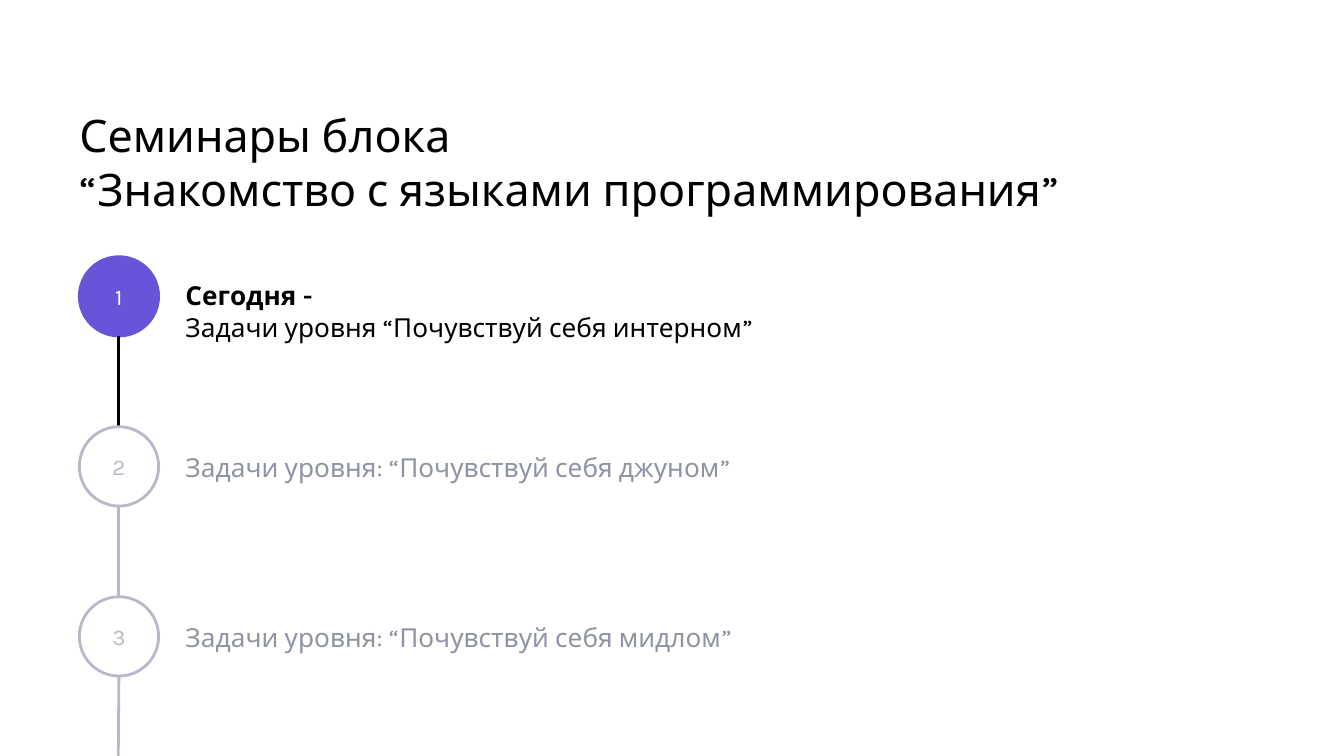
from lxml import etree
from pptx import Presentation
from pptx.dml.color import RGBColor
from pptx.enum import shapes, text
from pptx.oxml import ns
from pptx.util import Inches, Pt

FONT = "Karla"
BLACK = RGBColor(0x00, 0x00, 0x00)
WHITE = RGBColor(0xFF, 0xFF, 0xFF)
PURPLE = RGBColor(0x66, 0x54, 0xD9)
LIGHT_GRAY = RGBColor(0xB7, 0xB9, 0xC8)
TEXT_GRAY = RGBColor(0x8F, 0x93, 0xA3)

SLIDE_WIDTH = 10
SLIDE_HEIGHT = SLIDE_WIDTH * 9 / 16
LEFT = 0.59
DIAMETER = 0.59
AXIS = LEFT + DIAMETER / 2
FIRST_TOP = 1.91
LAST_TOP = 4.44

TITLE = ["Семинары блока", "“Знакомство с языками программирования”"]
SEMINARS = [
    (["Сегодня -", "Задачи уровня “Почувствуй себя интерном”"], (1.98, 5.79, 0.61)),
    (["Задачи уровня: “Почувствуй себя джуном”"], (3.26, 4.86, 0.41)),
    (["Задачи уровня: “Почувствуй себя мидлом”"], (4.52, 4.93, 0.41)),
]
STEP = (LAST_TOP - FIRST_TOP) / (len(SEMINARS) - 1)


def place(shape, left, top, width, height):
    shape.left, shape.top = Inches(left), Inches(top)
    shape.width, shape.height = Inches(width), Inches(height)


def write(shape, lines, size, color, margins, align=text.PP_ALIGN.LEFT,
          anchor=text.MSO_ANCHOR.TOP):
    frame = shape.text_frame
    frame.text = "\n".join(lines)
    frame.word_wrap = True
    frame.auto_size = text.MSO_AUTO_SIZE.NONE
    frame.vertical_anchor = anchor
    (frame.margin_left, frame.margin_top,
     frame.margin_right, frame.margin_bottom) = map(Inches, margins)
    for paragraph in frame.paragraphs:
        paragraph.alignment = align
        paragraph.space_before = Pt(0)
        paragraph.font.name = FONT
        paragraph.font.size = Pt(size)
        paragraph.font.bold = False
        paragraph.font.color.rgb = color


def remove_bullets(shape):
    for paragraph in shape.text_frame.paragraphs:
        properties = paragraph._p.get_or_add_pPr()
        properties.set("marL", "0")
        properties.set("indent", "0")
        bullet = etree.Element(ns.qn("a:buNone"))
        properties.insert_element_before(bullet, "a:tabLst", "a:defRPr", "a:extLst")


def add_marker(slide, number, top, fill, line, color):
    marker = slide.shapes.add_shape(
        shapes.MSO_SHAPE.OVAL, Inches(LEFT), Inches(top), Inches(DIAMETER), Inches(DIAMETER))
    marker.shadow.inherit = False
    marker.fill.solid()
    marker.fill.fore_color.rgb = fill
    marker.line.color.rgb = line
    marker.line.width = Pt(1.5)
    write(marker, [str(number)], 12, color, [0.1] * 4,
          text.PP_ALIGN.CENTER, text.MSO_ANCHOR.MIDDLE)


def add_line(slide, top, bottom, color, end=AXIS):
    line = slide.shapes.add_connector(
        shapes.MSO_CONNECTOR.STRAIGHT, Inches(AXIS), Inches(top), Inches(end), Inches(bottom))
    line.line.color.rgb = color
    line.line.width = Pt(1.5)
    etree.SubElement(line._element.spPr, ns.qn("a:effectLst"))


def main():
    presentation = Presentation()
    presentation.slide_width = Inches(SLIDE_WIDTH)
    presentation.slide_height = Inches(SLIDE_HEIGHT)
    slide = presentation.slides.add_slide(
        presentation.slide_layouts.get_by_name("Comparison"))

    title = slide.shapes.title
    place(title, LEFT, 0.79, 8.82, 0.35)
    write(title, TITLE, 24, BLACK, (0, 0.01, 0, 0))

    bodies = list(slide.placeholders)[1:]
    for index, (lines, (top, width, height)) in enumerate(SEMINARS):
        current = index == 0
        body = bodies[index]
        place(body, 1.38, top, width, height)
        write(body, lines, 14, BLACK if current else TEXT_GRAY, (0, 0.1, 0.1, 0.1))
        remove_bullets(body)
        if current:
            body.text_frame.paragraphs[0].font.bold = True

        marker_top = FIRST_TOP + index * STEP
        add_marker(slide, index + 1, marker_top,
                   PURPLE if current else WHITE,
                   PURPLE if current else LIGHT_GRAY,
                   WHITE if current else LIGHT_GRAY)
        last = index == len(SEMINARS) - 1
        add_line(slide, marker_top + DIAMETER,
                 5.64 if last else marker_top + STEP,
                 BLACK if current else LIGHT_GRAY,
                 0.88 if last else AXIS)

    for unused in bodies[len(SEMINARS):]:
        unused._element.getparent().remove(unused._element)

    presentation.save("out.pptx")


if __name__ == "__main__":
    main()
